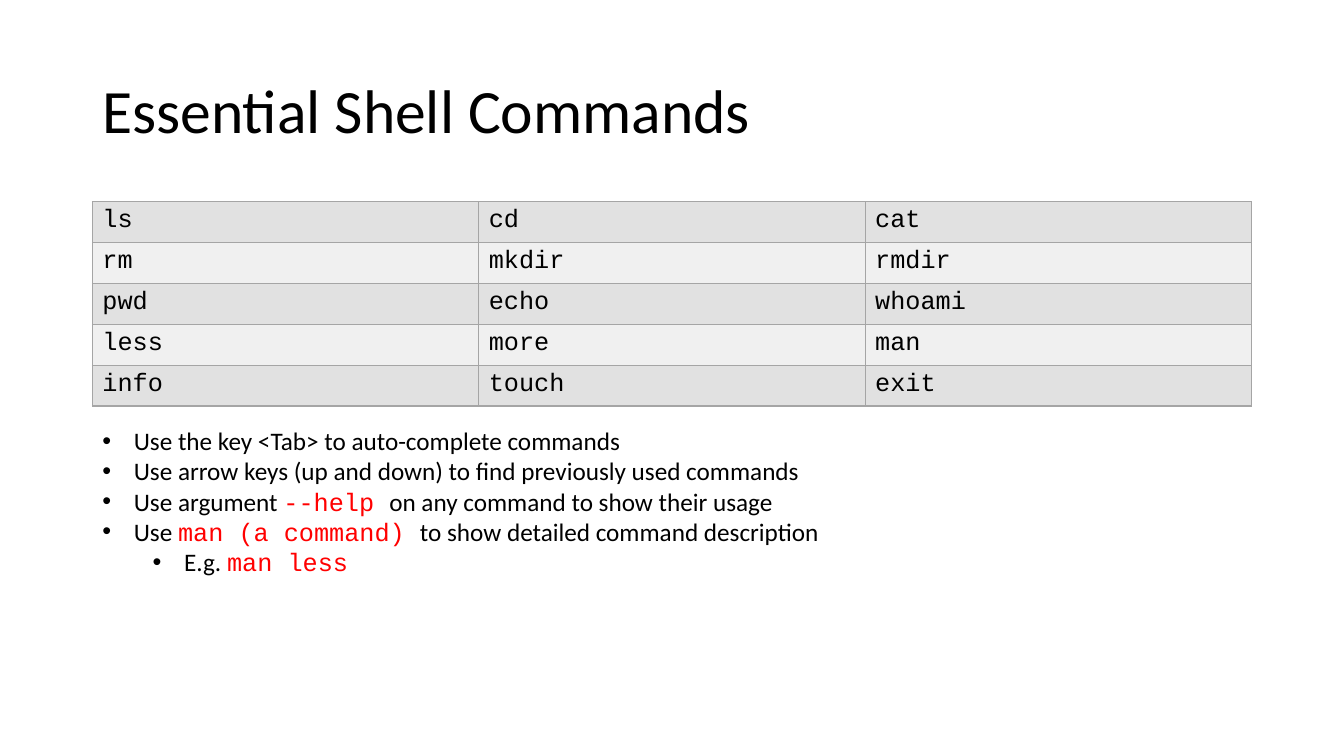
import pptx
import pptx.dml.color
import pptx.enum.text
import pptx.oxml
import pptx.oxml.ns
import pptx.util
from lxml import etree

Pt = pptx.util.Pt
BODY, CODE = "Calibri", "Courier New"
BLACK, RED, BORDER = "000000", "FF0000", "A5A5A5"
BANDS = ("E1E1E1", "F0F0F0")

COMMANDS = (
    ("ls", "cd", "cat"),
    ("rm", "mkdir", "rmdir"),
    ("pwd", "echo", "whoami"),
    ("less", "more", "man"),
    ("info", "touch", "exit"),
)

# Each tip: level, then its pieces; every second piece is code.
TIPS = (
    (0, "Use the key <Tab> to auto-complete commands"),
    (0, "Use arrow keys (up and down) to find previously used commands"),
    (0, "Use argument ", "--help ", "on any command to show their usage"),
    (0, "Use ", "man (a command) ", "to show detailed command description"),
    (1, "E.g. ", "man less"),
)


def rgb(hex_colour):
    return pptx.dml.color.RGBColor.from_string(hex_colour)


def add_run(paragraph, text, size, font=BODY, colour=BLACK):
    run = paragraph.add_run()
    run.text = text
    run.font.size = Pt(size)
    run.font.name = font
    run.font.color.rgb = rgb(colour)


def add_text_frame(slide, box):
    frame = slide.shapes.add_textbox(*map(Pt, box)).text_frame
    frame.word_wrap = True
    return frame


def add_title(slide, box, text):
    frame = add_text_frame(slide, box)
    frame.vertical_anchor = pptx.enum.text.MSO_ANCHOR.MIDDLE
    heading = frame.paragraphs[0]
    heading.line_spacing = 0.9
    add_run(heading, text, 44)


def set_borders(cell, colour, width):
    properties = cell._tc.get_or_add_tcPr()
    for side in ("lnL", "lnR", "lnT", "lnB"):
        properties.append(pptx.oxml.parse_xml(
            f'<a:{side} {pptx.oxml.ns.nsdecls("a")} w="{Pt(width)}">'
            f'<a:solidFill><a:srgbClr val="{colour}"/></a:solidFill></a:{side}>'))


def add_command_table(slide, box, commands):
    table = slide.shapes.add_table(
        len(commands), len(commands[0]), *map(Pt, box)).table
    table.first_row = False
    for row, names in enumerate(commands):
        for column, name in enumerate(names):
            cell = table.cell(row, column)
            set_borders(cell, BORDER, 1)
            cell.fill.solid()
            cell.fill.fore_color.rgb = rgb(BANDS[row % 2])
            add_run(cell.text_frame.paragraphs[0], name, 18, CODE)


def set_bullet(paragraph, level):
    hanging = 22.5
    paragraph.level = level
    properties = paragraph._p.get_or_add_pPr()
    properties.set("marL", str(Pt(hanging + 36 * level)))
    properties.set("indent", str(Pt(-hanging)))
    for tag, key, value in (("a:buFont", "typeface", "Arial"),
                            ("a:buChar", "char", "•")):
        etree.SubElement(properties, pptx.oxml.ns.qn(tag)).set(key, value)


def add_tips(slide, box, tips):
    frame = add_text_frame(slide, box)
    frame.auto_size = pptx.enum.text.MSO_AUTO_SIZE.SHAPE_TO_FIT_TEXT
    for index, (level, *pieces) in enumerate(tips):
        tip = frame.add_paragraph() if index else frame.paragraphs[0]
        set_bullet(tip, level)
        for position, piece in enumerate(pieces):
            font, colour = (CODE, RED) if position % 2 else (BODY, BLACK)
            add_run(tip, piece, 18, font, colour)


def main():
    deck = pptx.Presentation()
    deck.slide_width, deck.slide_height = Pt(960), Pt(540)
    slide = deck.slides.add_slide(deck.slide_layouts[6])
    left, width = 66, 828
    add_title(slide, (left, 28.75, width, 104.4), "Essential Shell Commands")
    add_command_table(slide, (left, 144, width, 146), COMMANDS)
    add_tips(slide, (left, 300.3, width, 138), TIPS)
    deck.save("out.pptx")


if __name__ == "__main__":
    main()
